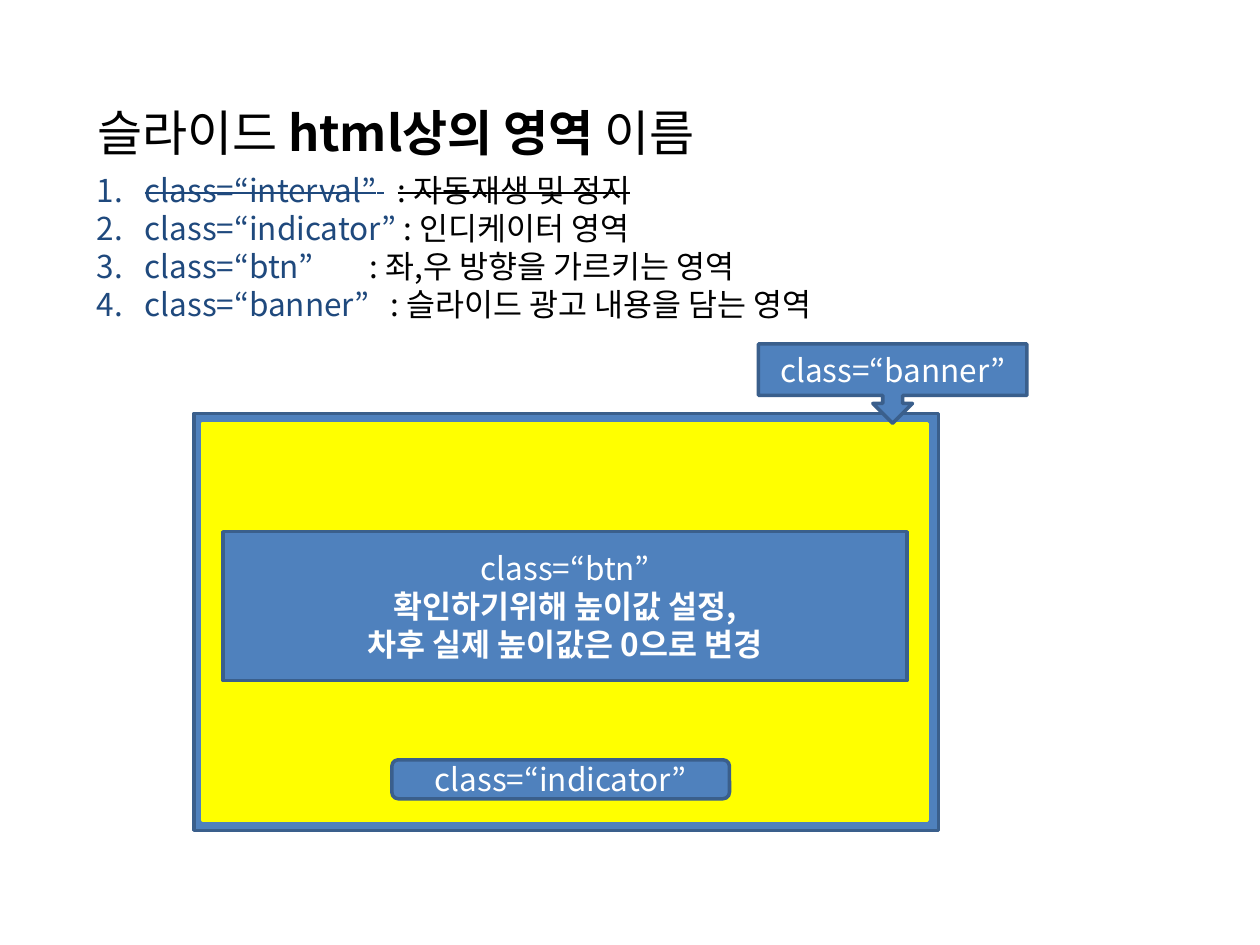
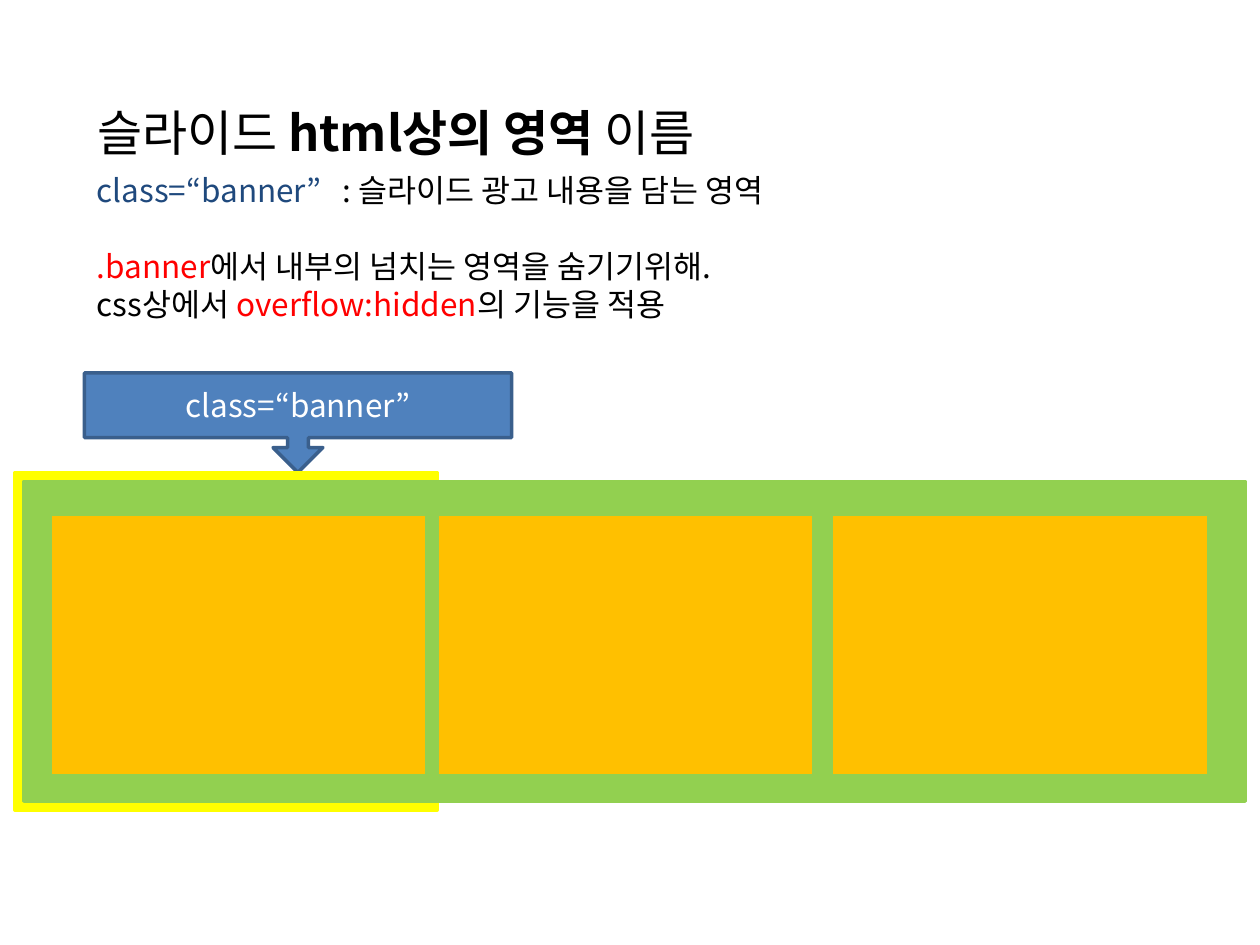
from lxml.etree import SubElement
from pptx import Presentation
from pptx.dml.color import RGBColor
from pptx.enum.shapes import MSO_SHAPE
from pptx.enum.text import MSO_ANCHOR, PP_ALIGN
from pptx.oxml.ns import qn
from pptx.util import Inches, Pt

FONT = "Noto Sans CJK KR"
BODY_SIZE = 18
COLORS = {
    "black": "000000",
    "white": "FFFFFF",
    "navy": "1F497D",
    "red": "FF0000",
    "blue": "4F81BD",
    "blue_edge": "3A5F8C",
    "yellow": "FFFF00",
    "green": "92D050",
    "orange": "FFC000",
}


def rgb(name):
    """Return the named palette colour."""
    return RGBColor.from_string(COLORS[name])


def add_run(paragraph, text, color="black", size=BODY_SIZE, bold=False, strike=False, spacing=0):
    """Append one formatted run; spacing is extra points after each letter."""
    run = paragraph.add_run()
    run.text = text
    run.font.size = Pt(size)
    run.font.bold = bold
    run.font.color.rgb = rgb(color)
    run.font.name = FONT
    properties = run.font._element
    SubElement(properties, qn("a:ea"), typeface=FONT)
    if strike:
        properties.set("strike", "sngStrike")
    if spacing:
        properties.set("spc", str(spacing * 100))


def add_title(slide):
    """Place and fill the title that both slides share."""
    title = slide.shapes.title
    title.left, title.top = Inches(0.67), Inches(0.76)
    title.width, title.height = Inches(5.4), Inches(0.57)
    frame = title.text_frame
    frame.word_wrap = True
    frame.vertical_anchor = MSO_ANCHOR.TOP
    paragraph = frame.paragraphs[0]
    paragraph.alignment = PP_ALIGN.LEFT
    add_run(paragraph, "슬라이드 ", size=28)
    add_run(paragraph, "html상의 영역 ", size=28, bold=True)
    add_run(paragraph, "이름", size=28)


def add_body(slide):
    """Add the text box under the title and return its frame."""
    box = slide.shapes.add_textbox(Inches(0.67), Inches(1.31), Inches(8.11), Inches(1.31))
    box.text_frame.word_wrap = True
    return box.text_frame


def next_paragraph(frame, numbered=False):
    """Return a fresh paragraph with a hanging indent."""
    first = frame.paragraphs[0]
    paragraph = frame.add_paragraph() if first.runs else first
    properties = paragraph._p.get_or_add_pPr()
    properties.set("marL", str(Inches(0.38)))
    properties.set("indent", str(-Inches(0.38)))
    if numbered:
        SubElement(properties, qn("a:buFont"), typeface="+mj-lt")
        SubElement(properties, qn("a:buAutoNum"), type="arabicPeriod")
    return paragraph


def add_definition(paragraph, name, meaning, gap=0, strike=False):
    """Write a class name, a gap and its meaning."""
    add_run(paragraph, f"class=“{name}”", "navy", strike=strike)
    add_run(paragraph, " ", "navy", strike=strike, spacing=gap)
    add_run(paragraph, f": {meaning}", strike=strike)


def add_block(slide, left, top, width, height, fill, line, kind=MSO_SHAPE.RECTANGLE):
    """Add a flat filled shape with a two-point outline."""
    shape = slide.shapes.add_shape(kind, Inches(left), Inches(top), Inches(width), Inches(height))
    shape.shadow.inherit = False
    shape.fill.solid()
    shape.fill.fore_color.rgb = rgb(fill)
    shape.line.color.rgb = rgb(line)
    shape.line.width = Pt(2)
    return shape


def add_label(slide, left, top, width, height, name, kind=MSO_SHAPE.RECTANGLE, notes=()):
    """Add a blue shape naming a class, with optional bold lines."""
    shape = add_block(slide, left, top, width, height, "blue", "blue_edge", kind)
    frame = shape.text_frame
    frame.word_wrap = True
    frame.vertical_anchor = MSO_ANCHOR.MIDDLE
    add_run(frame.paragraphs[0], f"class=“{name}”", "white")
    for note in notes:
        add_run(frame.add_paragraph(), note, "white", bold=True)
    for paragraph in frame.paragraphs:
        paragraph.alignment = PP_ALIGN.CENTER
    return shape


def build_area_names(slide):
    """List the class names and show where each area sits."""
    add_title(slide)
    frame = add_body(slide)
    definitions = [
        ("interval", "자동재생 및 정지", 8, True),
        ("indicator", "인디케이터 영역", 0, False),
        ("btn", "좌,우 방향을 가르키는 영역", 28, False),
        ("banner", "슬라이드 광고 내용을 담는 영역", 8, False),
    ]
    for name, meaning, gap, strike in definitions:
        add_definition(next_paragraph(frame, numbered=True), name, meaning, gap, strike)

    add_block(slide, 1.54, 3.28, 5.91, 3.31, "blue", "blue_edge")
    add_block(slide, 1.61, 3.36, 5.75, 3.15, "yellow", "yellow")
    add_label(slide, 6.02, 2.73, 2.13, 0.63, "banner", MSO_SHAPE.DOWN_ARROW_CALLOUT)
    add_label(slide, 3.11, 6.03, 2.68, 0.31, "indicator", MSO_SHAPE.ROUNDED_RECTANGLE)
    notes = ("확인하기위해 높이값 설정,", "차후 실제 높이값은 0으로 변경")
    add_label(slide, 1.77, 4.22, 5.43, 1.18, "btn", notes=notes)


def build_banner_overflow(slide):
    """Explain the banner and show its contents overflowing."""
    add_title(slide)
    frame = add_body(slide)
    add_definition(next_paragraph(frame), "banner", "슬라이드 광고 내용을 담는 영역", 8)
    reason = next_paragraph(frame)
    reason.space_before = Pt(21.6)
    add_run(reason, ".banner", "red")
    add_run(reason, "에서 내부의 넘치는 영역을 숨기기위해.")
    remedy = next_paragraph(frame)
    add_run(remedy, "css상에서 ")
    add_run(remedy, "overflow:hidden", "red")
    add_run(remedy, "의 기능을 적용")

    callout = add_label(slide, 0.67, 2.96, 3.39, 0.79, "banner", MSO_SHAPE.DOWN_ARROW_CALLOUT)
    for index, value in enumerate((0.21, 0.25, 0.25, 0.65)):
        callout.adjustments[index] = value
    add_block(slide, 0.12, 3.75, 3.35, 2.68, "yellow", "yellow")
    add_block(slide, 0.19, 3.82, 9.69, 2.54, "green", "green")
    for left in (0.4, 3.47, 6.6):
        add_block(slide, left, 4.08, 2.99, 2.08, "orange", "green")


def main():
    """Build both slides and save the presentation."""
    presentation = Presentation()
    presentation.slide_width, presentation.slide_height = Inches(10), Inches(7.5)
    title_only = presentation.slide_layouts[5]
    for build in (build_area_names, build_banner_overflow):
        build(presentation.slides.add_slide(title_only))
    presentation.save("out.pptx")


if __name__ == "__main__":
    main()
